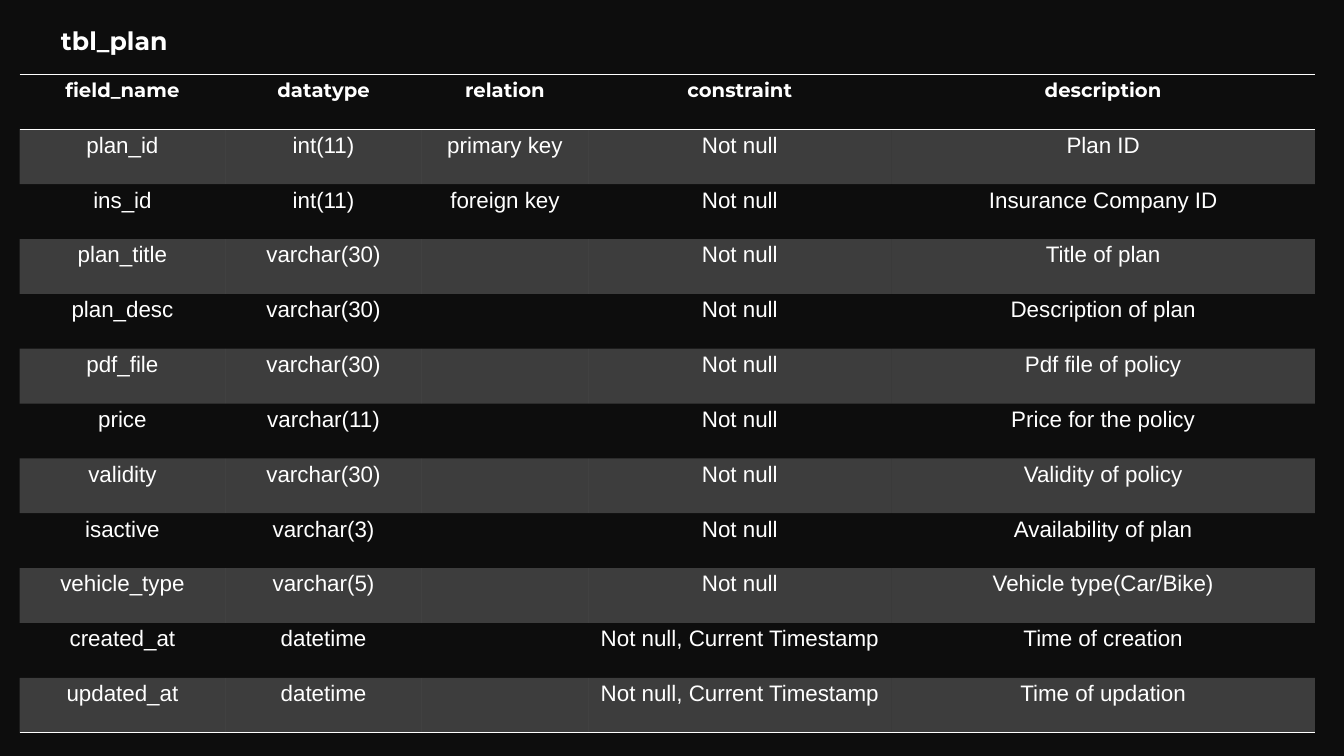
"""Build a slide that lists the fields of the tbl_plan database table."""
from lxml import etree
from pptx import Presentation
from pptx import util as u
from pptx.dml import color
from pptx.enum import text
from pptx.oxml import ns

NO_GRID = "{2D5ABB26-0587-4C30-8999-92F81FD0307C}"
WIDTHS = [146.9, 140.4, 118.8, 216.7, 302.4]
ROW_HEIGHT = 39.18
FIELDS = [
    ("field_name", "datatype", "relation", "constraint", "description"),
    ("plan_id", "int(11)", "primary key", "Not null", "Plan ID"),
    ("ins_id", "int(11)", "foreign key", "Not null", "Insurance Company ID"),
    ("plan_title", "varchar(30)", "", "Not null", "Title of plan"),
    ("plan_desc", "varchar(30)", "", "Not null", "Description of plan"),
    ("pdf_file", "varchar(30)", "", "Not null", "Pdf file of policy"),
    ("price", "varchar(11)", "", "Not null", "Price for the policy"),
    ("validity", "varchar(30)", "", "Not null", "Validity of policy"),
    ("isactive", "varchar(3)", "", "Not null", "Availability of plan"),
    ("vehicle_type", "varchar(5)", "", "Not null", "Vehicle type(Car/Bike)"),
    ("created_at", "datetime", "", "Not null, Current Timestamp", "Time of creation"),
    ("updated_at", "datetime", "", "Not null, Current Timestamp", "Time of updation"),
]


def rgb(value):
    return color.RGBColor.from_string(value)


def write(tf, words, font="Arial", size=16, ink="FFFFFF", bold=False,
          align=text.PP_ALIGN.LEFT, spacing=None, after=None):
    p = tf.paragraphs[0]
    p.alignment = align
    p.line_spacing = spacing
    if after is not None:
        p.space_after = u.Pt(after)
    if words:
        r = p.add_run()
        r.text = words
        r.font.name, r.font.size, r.font.bold = font, u.Pt(size), bold
        r.font.color.rgb = rgb(ink)


class Deck:
    ink = "FFFFFF"
    back = "0D0D0D"
    head = {"font": "Montserrat", "bold": True}
    body = {"align": text.PP_ALIGN.CENTER, "spacing": 1.15, "after": 10}

    def __init__(self, prs):
        self.s = prs.slides.add_slide(prs.slide_layouts[6])
        self.s.background.fill.solid()
        self.s.background.fill.fore_color.rgb = rgb(self.back)

    def label(self, words, x, y, w, h, **style):
        tf = self.s.shapes.add_textbox(u.Pt(x), u.Pt(y), u.Pt(w), u.Pt(h)).text_frame
        tf.word_wrap = False
        write(tf, words, ink=self.ink, **style)

    def border(self, cell, side):
        pr = cell._tc.get_or_add_tcPr()
        ln = etree.SubElement(pr, ns.qn(f"a:ln{side}"), w=str(u.Pt(1)))
        fill = etree.SubElement(ln, ns.qn("a:solidFill"))
        etree.SubElement(fill, ns.qn("a:srgbClr"), val=self.ink)

    def shade(self, cell, percent):
        cell.fill.solid()
        cell.fill.fore_color.rgb = rgb(self.ink)
        clr = cell._tc.tcPr.find(".//" + ns.qn("a:solidFill") + "[last()]/" + ns.qn("a:srgbClr"))
        for clr in cell._tc.tcPr.findall(ns.qn("a:solidFill") + "/" + ns.qn("a:srgbClr")):
            etree.SubElement(clr, ns.qn("a:alpha"), val=str(percent * 1000))

    def table(self, rows, x, y, widths, height):
        sp = self.s.shapes.add_table(len(rows), len(widths), u.Pt(x), u.Pt(y),
                                     u.Pt(sum(widths)), u.Pt(height * len(rows)))
        tbl = sp.table
        tbl.first_row = tbl.horz_banding = False
        tbl._tbl.tblPr.find(ns.qn("a:tableStyleId")).text = NO_GRID
        for column, width in zip(tbl.columns, widths):
            column.width = u.Pt(width)
        for i, row in enumerate(rows):
            tbl.rows[i].height = u.Pt(height)
            sides = "TB" if i == 0 else "B" if i == len(rows) - 1 else ""
            style = {**self.body, **self.head, "size": 14} if i == 0 else self.body
            for j, words in enumerate(row):
                cell = tbl.cell(i, j)
                cell.margin_left = cell.margin_right = u.Pt(5)
                cell.margin_top = cell.margin_bottom = 0
                write(cell.text_frame, words, ink=self.ink, **style)
                for side in sides:
                    self.border(cell, side)
                if i % 2:
                    self.shade(cell, 20)
                else:
                    cell.fill.background()


def main():
    prs = Presentation()
    prs.slide_width, prs.slide_height = u.Pt(960), u.Pt(540)
    deck = Deck(prs)
    deck.table(FIELDS, 14, 53.2, WIDTHS, ROW_HEIGHT)
    deck.label("tbl_plan", 36.5, 14.8, 92, 29, size=18, **deck.head)
    prs.save("out.pptx")


if __name__ == "__main__":
    main()
